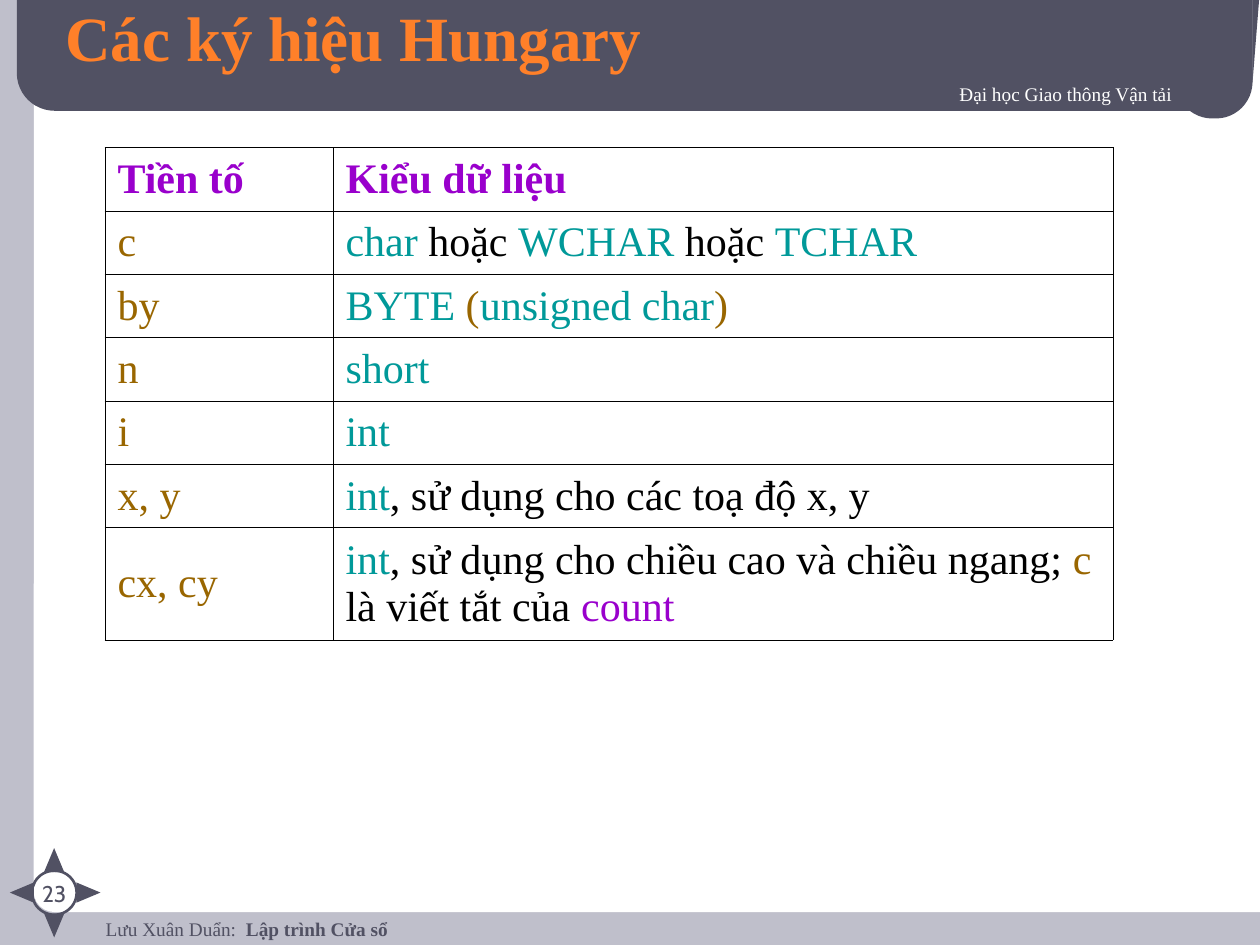
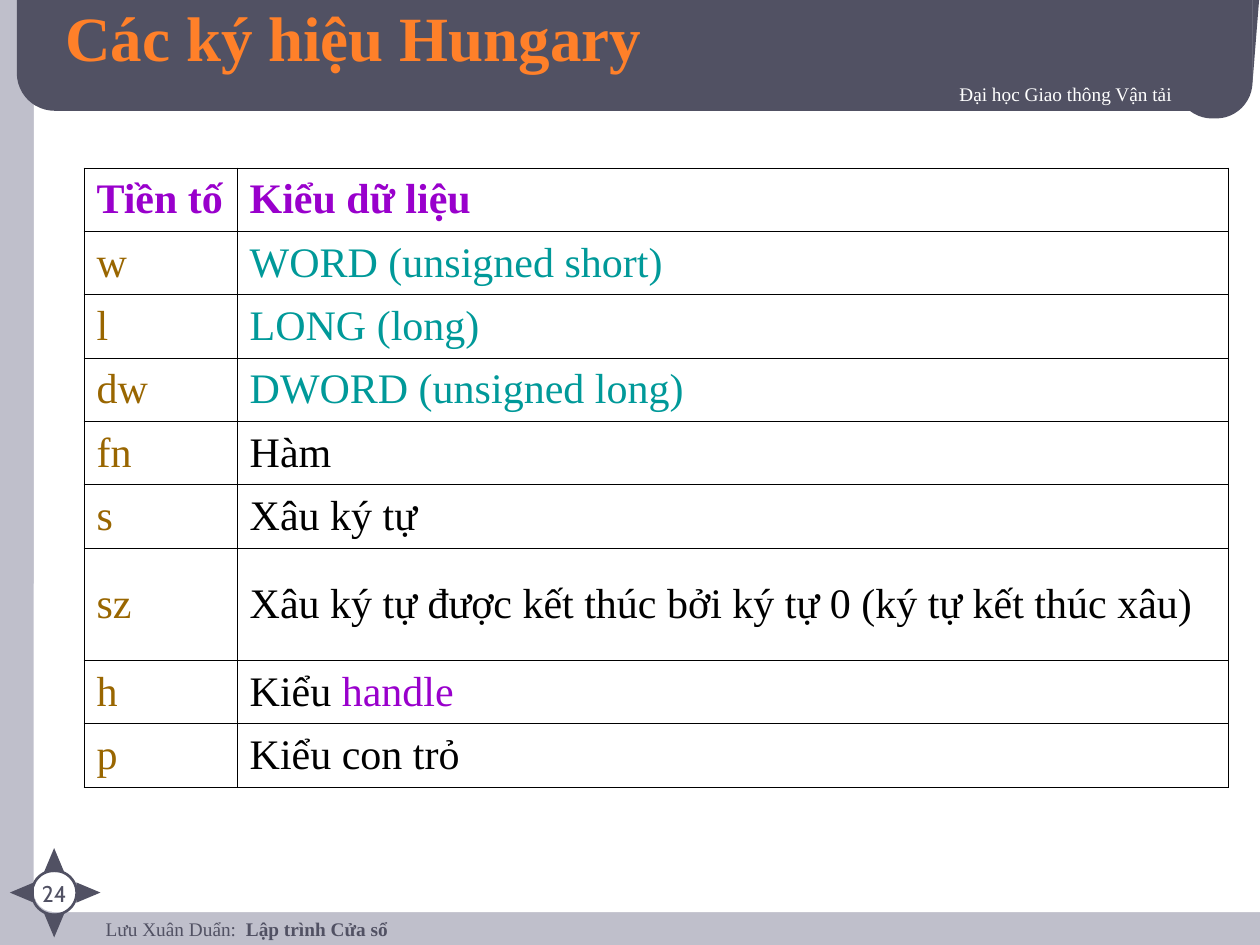
from typing import NamedTuple

from lxml import etree
from pptx import Presentation
from pptx import util as u
from pptx.dml.color import RGBColor
from pptx.enum import shapes, text
from pptx.oxml.ns import qn

Pt = u.Pt
Kind = shapes.MSO_SHAPE
Al = text.PP_ALIGN

# Shared look
SERIF, SANS = "Times New Roman", "Cabin"
GREY, DARK, WHITE, BLACK = "BFBFCB", "515163", "FFFFFF", "000000"
ORANGE, PURPLE, BROWN, TEAL = "FF8029", "9900CC", "996600", "009999"
LOW, TALL = 36.2, 64.2
HANG = 31.5


class Part(NamedTuple):
    """A preset shape of the frame, in points."""
    kind: Kind
    box: tuple
    fill: str | None = DARK
    adj: float | None = None
    turn: float = 0
    line: str | None = None


class Run(NamedTuple):
    text: str
    color: str = BLACK
    bold: bool = False


class Row(NamedTuple):
    key: str
    runs: list
    height: float = LOW


class Grid(NamedTuple):
    number: int
    left: float
    top: float
    cols: tuple
    rows: list


BANDS = [
    Part(Kind.ROUNDED_RECTANGLE, (19.3, -9.4, 720.7, 530.6), WHITE, 0.022),
    Part(Kind.ROUNDED_RECTANGLE, (9.6, -25.9, 706.2, 89.2), adj=0.242),
    Part(Kind.ROUNDED_RECTANGLE, (671.8, 20.9, 43.9, 46.8), adj=0.475),
    Part(Kind.RIGHT_TRIANGLE, (690.8, 19.1, 54, 4.3), turn=90),
]
RING = Part(Kind.OVAL, (18.3, 497.5, 25.5, 25.2), None, line=DARK)
# Compass points around the ring: left, top, rotation
TIPS = [(44.8, 503.2, 90), (6.7, 503.2, 270), (25.2, 484.6, 0), (25.2, 522, 180)]


def rgb(code: str) -> RGBColor:
    return RGBColor.from_string(code)


def draw(slide, part: Part) -> None:
    shape = slide.shapes.add_shape(part.kind, *map(Pt, part.box))
    shape.shadow.inherit = False
    shape.rotation = part.turn
    if part.adj is not None:
        shape.adjustments[0] = part.adj
    if part.fill:
        shape.fill.solid()
        shape.fill.fore_color.rgb = rgb(part.fill)
    else:
        shape.fill.background()
    if part.line:
        shape.line.color.rgb = rgb(part.line)
        shape.line.width = Pt(1.5)
    else:
        shape.line.fill.background()


def shade(font_xml) -> None:
    """Give a run a small black shadow, right after its fill."""
    effect = etree.Element(qn("a:effectLst"))
    outer = etree.SubElement(effect, qn("a:outerShdw"), dist="17961", dir="2700000")
    etree.SubElement(outer, qn("a:srgbClr"), val=BLACK)
    font_xml.find(qn("a:solidFill")).addnext(effect)


def write(frame, runs: list, size: float, face: str = SERIF, align=Al.LEFT,
          shadow: bool = False, hang: float = 0) -> None:
    para = frame.paragraphs[0]
    para.alignment = align
    if hang:
        props = para._p.get_or_add_pPr()
        props.set("marL", str(Pt(hang)))
        props.set("indent", str(-Pt(hang)))
    for item in runs:
        run = para.add_run()
        run.text = item.text
        font = run.font
        font.size, font.name, font.bold = Pt(size), face, item.bold
        font.color.rgb = rgb(item.color)
        if shadow:
            shade(run._r.get_or_add_rPr())


def label(slide, box: tuple, runs: list, size: float, pad: float = 3.6, **style) -> None:
    frame = slide.shapes.add_textbox(*map(Pt, box)).text_frame
    frame.word_wrap = True
    frame.margin_top = frame.margin_bottom = Pt(pad)
    write(frame, runs, size, **style)


def edge(cell) -> None:
    """Thin black borders on all four sides."""
    props = cell._tc.get_or_add_tcPr()
    for spot, side in enumerate(("lnL", "lnR", "lnT", "lnB")):
        line = etree.Element(qn("a:" + side), w=str(Pt(0.45)))
        fill = etree.SubElement(line, qn("a:solidFill"))
        etree.SubElement(fill, qn("a:srgbClr"), val=BLACK)
        props.insert(spot, line)


def fill_row(cells, pair: tuple, hangs: tuple) -> None:
    for cell, runs, hang in zip(cells, pair, hangs):
        cell.fill.background()
        cell.vertical_anchor = text.MSO_ANCHOR.MIDDLE
        edge(cell)
        write(cell.text_frame, runs, 24, hang=hang)


def add_grid(slide, grid: Grid) -> None:
    highs = [LOW] + [row.height for row in grid.rows]
    table = slide.shapes.add_table(
        len(highs), 2, Pt(grid.left), Pt(grid.top),
        Pt(sum(grid.cols)), Pt(sum(highs))).table
    table.first_row = table.horz_banding = False
    for col, width in zip(table.columns, grid.cols):
        col.width = Pt(width)
    head = tuple([Run(name, PURPLE, True)] for name in ("Tiền tố", "Kiểu dữ liệu"))
    pairs = [head] + [([Run(row.key, BROWN)], row.runs) for row in grid.rows]
    for line, high, pair in zip(table.rows, highs, pairs):
        line.height = Pt(high)
        fill_row(line.cells, pair, (HANG, HANG if high == LOW else 0))


def add_frame(slide, number: int) -> None:
    for part in BANDS:
        draw(slide, part)
    # Footer and page number
    label(slide, (53.3, 524.2, 557.3, 23.8),
          [Run("Lưu Xuân Duẩn:  ", DARK), Run("Lập trình Cửa sổ", DARK, True)], 11, pad=0)
    label(slide, (10.1, 499, 41.8, 15.8), [Run(str(number), DARK)], 13,
          face=SANS, align=Al.CENTER)
    draw(slide, RING)
    for left, top, turn in TIPS:
        draw(slide, Part(Kind.ISOSCELES_TRIANGLE, (left, top, 11.5, 13.7), turn=turn))
    # School name in the top band
    label(slide, (218.2, 43.2, 458.6, 27.4), [Run("Đại học Giao thông Vận tải", WHITE)],
          11, align=Al.RIGHT, shadow=True)


def add_title(slide, words: str) -> None:
    title = slide.shapes.title
    slide.shapes.element.append(title.element)
    title.left, title.top, title.width, title.height = map(Pt, (30.2, 0, 613.4, 41.8))
    frame = title.text_frame
    frame.auto_size = text.MSO_AUTO_SIZE.NONE
    frame.vertical_anchor = text.MSO_ANCHOR.MIDDLE
    write(frame, [Run(words, ORANGE, True)], 36, shadow=True)


# Contents of the two tables
GRIDS = [
    Grid(23, 60, 84.3, (130.3, 445.7), [
        Row("c", [Run("char", TEAL), Run(" hoặc "), Run("WCHAR", TEAL),
                  Run(" hoặc "), Run("TCHAR", TEAL)]),
        Row("by", [Run("BYTE", TEAL), Run(" (", BROWN),
                   Run("unsigned char", TEAL), Run(")", BROWN)]),
        Row("n", [Run("short", TEAL)]),
        Row("i", [Run("int", TEAL)]),
        Row("x, y", [Run("int", TEAL), Run(", sử dụng cho các toạ độ x, y")]),
        Row("cx, cy", [Run("int", TEAL), Run(", sử dụng cho chiều cao và chiều ngang; "),
                       Run("c", BROWN), Run(" là viết tắt của "),
                       Run("count", PURPLE)], TALL),
    ]),
    Grid(24, 48, 96, (87.5, 566.5), [
        Row("w", [Run("WORD (unsigned short)", TEAL)]),
        Row("l", [Run("LONG (long)", TEAL)]),
        Row("dw", [Run("DWORD (unsigned long)", TEAL)]),
        Row("fn", [Run("Hàm")]),
        Row("s", [Run("Xâu ký tự")]),
        Row("sz", [Run("Xâu ký tự được kết thúc bởi ký tự 0 (ký tự kết thúc xâu)")], TALL),
        Row("h", [Run("Kiểu "), Run("handle", PURPLE)]),
        Row("p", [Run("Kiểu con trỏ")]),
    ]),
]


def main() -> None:
    prs = Presentation()
    prs.slide_width, prs.slide_height = Pt(720), Pt(540)
    back = prs.slide_master.background.fill
    back.solid()
    back.fore_color.rgb = rgb(GREY)
    for grid in GRIDS:
        slide = prs.slides.add_slide(prs.slide_layouts[5])
        add_frame(slide, grid.number)
        add_title(slide, "Các ký hiệu Hungary")
        add_grid(slide, grid)
    prs.save("out.pptx")


if __name__ == "__main__":
    main()
